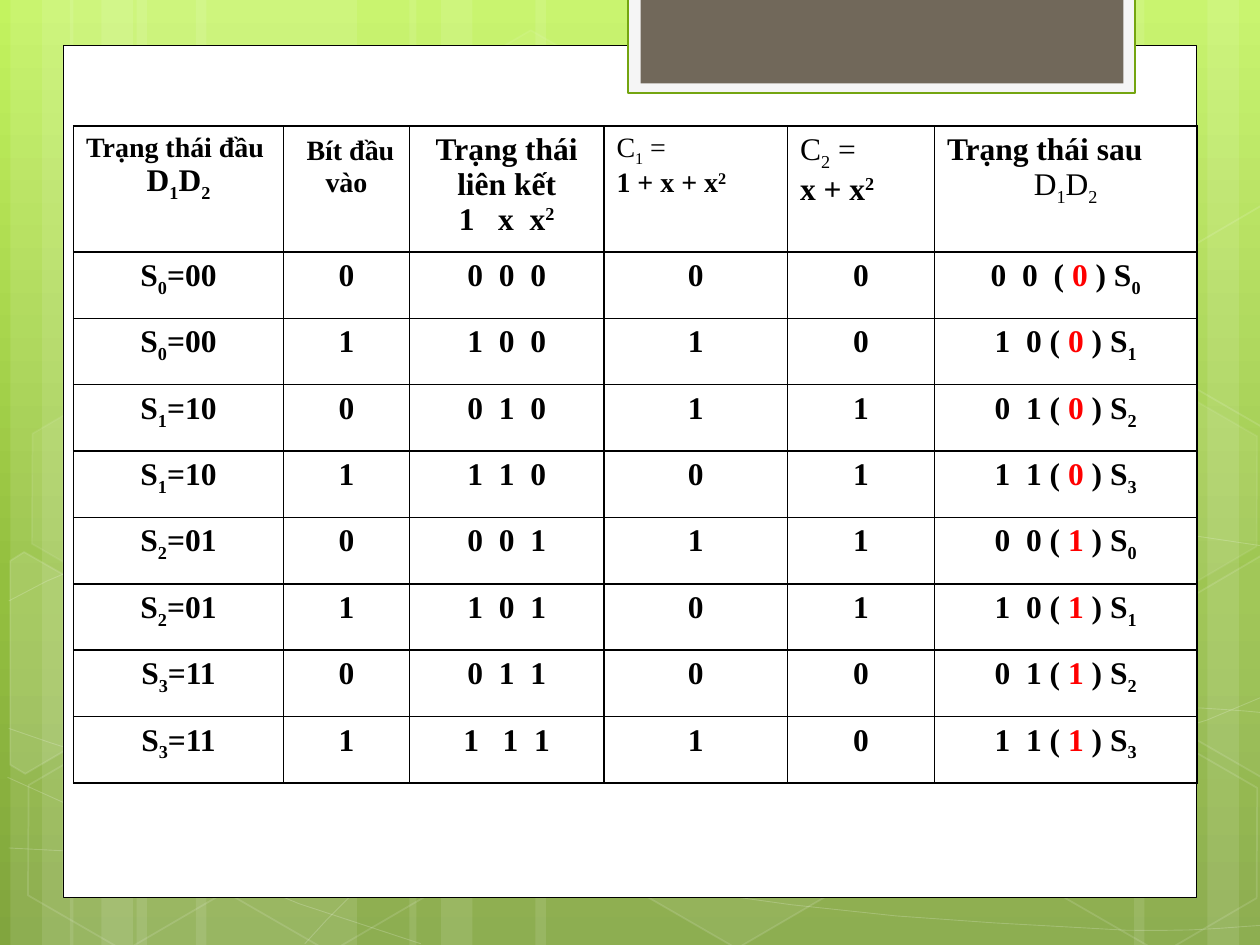
from copy import deepcopy
from math import cos, radians, sin
from typing import NamedTuple, Optional

from lxml import etree
from pptx import Presentation
from pptx.dml.color import RGBColor
from pptx.enum import shapes, text
from pptx.oxml.ns import qn
from pptx.util import Pt

WHITE = RGBColor(0xFF, 0xFF, 0xFF)
BLACK = RGBColor(0, 0, 0)
RED = RGBColor(0xFF, 0, 0)
PALE = RGBColor(0xF5, 0xF5, 0xF5)
GREEN = RGBColor(0x74, 0xA5, 0x10)
TAUPE = RGBColor(0x71, 0x68, 0x5A)
BACKDROP = [(0, RGBColor(0xC3, 0xF3, 0x5F)), (0.62, RGBColor(0x93, 0xBF, 0x3F)),
            (1, RGBColor(0x81, 0xA5, 0x3E))]
FONT = "Times New Roman"
LEFT, CENTER = text.PP_ALIGN.LEFT, text.PP_ALIGN.CENTER
TILT = 30
Point = tuple[float, float]


class Paint(NamedTuple):
    color: RGBColor
    opacity: int = 100
    width: float = 1


class Hexagon(NamedTuple):
    left: float
    top: float
    fill: Optional[int]
    outline: int


class CutHexagon(NamedTuple):
    center: Point
    corners: list[Point]
    fill: Optional[int]


class Run(NamedTuple):
    text: str
    size: float = 18
    bold: bool = True
    baseline: int = 0
    color: RGBColor = BLACK


class Line(NamedTuple):
    runs: list[Run]
    align: text.PP_ALIGN = CENTER


STRIPES = [(78, 126), (6, 36), (24, 60), (112, 126), (40, 36), (58, 60),
           (528, 126), (690, 36), (648, 60), (306, 222), (234, 36), (252, 60)]
# Each wave is a start point followed by cubic segments of three points.
WAVES = [
    [(5, 484.6), (43.9, 486.7), (82.8, 488.9), (136.8, 488.2), (190.8, 487.4), (257.8, 486),
     (329.8, 478.8), (401.8, 471.6), (504, 457.9), (570.2, 444.2), (635.8, 430.6),
     (703.4, 409), (725, 396.7)],
    [(5, 343.4), (25.9, 331.9), (46.8, 321.1), (87.1, 310.3), (128.2, 299.5), (186.5, 283.7),
     (249.8, 278.6), (313.9, 273.6), (391.7, 272.9), (470.9, 278.6), (550.1, 284.4),
     (681.8, 306.7), (725, 312.5)],
    [(4.3, 444.2), (91.4, 483.8), (177.8, 523.4), (240.5, 539.3)],
    [(5, 416.2), (27.4, 424.1), (50.4, 432), (92.2, 443.5), (133.9, 454.3), (196.6, 472.3),
     (257, 484.6), (316.8, 496.8), (392.4, 509.8), (452.2, 517), (511.9, 524.9), (576, 527.8),
     (614.2, 529.9), (651.6, 532.8), (661.7, 531.4), (680.4, 531.4), (699.1, 530.6),
     (712.1, 529.2), (725, 528.5)],
    [(174.2, 539.3), (187.2, 524.9), (200.2, 510.5), (217.4, 497.5), (234.7, 484.6),
     (259.2, 470.2), (279.4, 460.1), (299.5, 450), (311.8, 445.7), (338.4, 438.5),
     (364.3, 431.3), (412.6, 421.2), (437.8, 416.2), (463.7, 411.1), (467.3, 411.1),
     (489.6, 409.7), (511.9, 407.5), (547.2, 405.4), (571.7, 404.6), (596.9, 403.9),
     (686.2, 404.6), (686.2, 404.6), (699.1, 405.4), (711.4, 406.1), (724.3, 407.5)],
]
HEXAGONS = [Hexagon(240.5, 25.9, 4, 8), Hexagon(357.8, 424.1, 6, 12),
            Hexagon(7.9, 425.5, None, 12), Hexagon(10.1, 224.6, 7, 8),
            Hexagon(125.3, 426.2, None, 12), Hexagon(542.2, 326.2, 10, 12),
            Hexagon(600.5, 427, None, 12), Hexagon(600.5, 226.1, 7, 8)]
CUT_HEXAGONS = [
    CutHexagon((25.9, 385.2), [(5.8, 320.4), (13.7, 315.4), (69.1, 347), (68.4, 410.4),
                               (14.4, 442.1), (5.8, 437)], 10),
    CutHexagon((709.2, 374.4), [(666.7, 349.2), (720.7, 317.5), (726.5, 321.1),
                                (726.5, 441.4), (721.4, 444.2), (666.7, 412.6)], 4),
    CutHexagon((709.2, 173.5), [(666.7, 149), (720.7, 117.4), (727.2, 121),
                                (726.5, 241.2), (721.4, 244.1), (666.7, 212.4)], None),
]
COLUMN_WIDTHS = [120, 72, 111.1, 104.9, 84, 150]
HEADER_HEIGHT, ROW_HEIGHT = 72, 37.93


def sub(label: str, size: float = 18, bold: bool = True) -> Run:
    return Run(label, size, bold, -25)


def square(size: float = 18) -> Run:
    return Run("2", size, baseline=30)


def register(bold: bool) -> list[Run]:
    return [Run("D", bold=bold), sub("1", bold=bold), Run("D", bold=bold), sub("2", bold=bold)]


HEADER = [
    [Line([Run("Trạng thái đầu", 16)], LEFT), Line(register(True))],
    [Line([Run(" "), Run("Bít đầu vào", 16)])],
    [Line([Run("Trạng thái liên kết")]), Line([Run("1   x  x"), square()])],
    [Line([Run("C", 16, False), sub("1", 16, False), Run(" =", 16, False)], LEFT),
     Line([Run("1 + x + x", 16), square(16)], LEFT)],
    [Line([Run("C", bold=False), sub("2", bold=False), Run(" =", bold=False)], LEFT),
     Line([Run("x + x"), square()], LEFT)],
    [Line([Run("Trạng thái sau")], LEFT), Line(register(False))],
]


def transition(state: int, bit: int) -> list[list[Line]]:
    """Cells for one step of the encoder, where state = D1 + 2·D2."""
    d1, d2 = state % 2, state // 2
    first_gap = "   " if (state, bit) == (3, 1) else "  "
    last_gap = "  " if (state, bit) == (0, 0) else " "
    cells = [
        [Run("S"), sub(str(state)), Run(f"={d1}{d2}")],
        [Run(str(bit))],
        [Run(f"{bit}{first_gap}{d1}  {d2}")],
        [Run(str(bit ^ d1 ^ d2))],
        [Run(str(d1 ^ d2))],
        [Run(f"{bit}  {d1}{last_gap}( "), Run(str(d2), color=RED), Run(" ) S"),
         sub(str(bit + 2 * d1))],
    ]
    return [[Line(runs)] for runs in cells]


def apply_paint(shape, fill: Optional[Paint], outline: Optional[Paint]) -> None:
    shape.shadow.inherit = False
    for paint, target, xpath in ((fill, shape.fill, "a:solidFill"),
                                 (outline, shape.line.fill, "a:ln/a:solidFill")):
        if paint is None:
            target.background()
            continue
        target.solid()
        target.fore_color.rgb = paint.color
        if paint.opacity < 100:
            color = shape._element.spPr.xpath(f"{xpath}/a:srgbClr")[0]
            etree.SubElement(color, qn("a:alpha")).set("val", str(paint.opacity * 1000))
    if outline:
        shape.line.width = Pt(outline.width)


def add_preset(slide, kind, left: float, top: float, width: float, height: float,
               fill: Optional[Paint], outline: Optional[Paint] = None):
    shape = slide.shapes.add_shape(kind, Pt(left), Pt(top), Pt(width), Pt(height))
    apply_paint(shape, fill, outline)
    return shape


def add_outline(slide, points: list[Point], close: bool, fill: Optional[Paint],
                outline: Paint):
    start, *rest = [(Pt(x), Pt(y)) for x, y in points]
    builder = slide.shapes.build_freeform(*start)
    builder.add_line_segments(rest, close=close)
    shape = builder.convert_to_shape()
    apply_paint(shape, fill, outline)
    return shape


def trace_curve(controls: list[Point], steps: int = 3) -> list[Point]:
    """Points along a chain of cubic Bézier segments."""
    points = [controls[0]]
    for i in range(0, len(controls) - 1, 3):
        for t in (step / steps for step in range(1, steps + 1)):
            weights = ((1 - t) ** 3, 3 * t * (1 - t) ** 2, 3 * t * t * (1 - t), t ** 3)
            points.append(tuple(sum(w * p[axis] for w, p in zip(weights, controls[i:i + 4]))
                                for axis in (0, 1)))
    return points


def untilt(point: Point, center: Point) -> Point:
    """Where a point lies before its shape is turned by TILT about the center."""
    dx, dy = point[0] - center[0], point[1] - center[1]
    c, s = cos(radians(TILT)), sin(radians(TILT))
    return center[0] + dx * c + dy * s, center[1] - dx * s + dy * c


def paint_backdrop(slide) -> None:
    fill = slide.background.fill
    fill.gradient()
    fill.gradient_angle = 270
    stops = slide._element.find(".//" + qn("a:gsLst"))
    stops.insert(1, deepcopy(stops[0]))
    for stop, (position, color) in zip(fill.gradient_stops, BACKDROP):
        stop.position = position
        stop.color.rgb = color


def draw_decoration(slide) -> None:
    for left, width in STRIPES:
        add_preset(slide, shapes.MSO_SHAPE.RECTANGLE, left, 0, width, 540, Paint(WHITE, 10))
    for wave in WAVES:
        add_outline(slide, trace_curve(wave), False, None, Paint(WHITE, 20, 0.5))
    for left, top, fill, outline in HEXAGONS:
        hexagon = add_preset(slide, shapes.MSO_SHAPE.HEXAGON, left, top, 126, 109.4,
                             Paint(WHITE, fill) if fill else None, Paint(WHITE, outline))
        hexagon.adjustments[0] = 0.285
        hexagon.rotation = TILT
    for center, corners, fill in CUT_HEXAGONS:
        cut = add_outline(slide, [untilt(corner, center) for corner in corners], True,
                          Paint(WHITE, fill) if fill else None, Paint(WHITE, 12))
        cut.rotation = TILT


def fill_cell(cell, lines: list[Line]) -> None:
    properties = cell._tc.get_or_add_tcPr()
    for side in ("lnL", "lnR", "lnT", "lnB"):
        border = etree.SubElement(properties, qn(f"a:{side}"), w=str(Pt(1)))
        solid = etree.SubElement(border, qn("a:solidFill"))
        etree.SubElement(solid, qn("a:srgbClr"), val=str(BLACK))
    cell.fill.background()
    frame = cell.text_frame
    for i, line in enumerate(lines):
        paragraph = frame.add_paragraph() if i else frame.paragraphs[0]
        paragraph.alignment = line.align
        for part in line.runs:
            run = paragraph.add_run()
            run.text = part.text
            run.font.name, run.font.size, run.font.bold = FONT, Pt(part.size), part.bold
            run.font.color.rgb = part.color
            if part.baseline:
                run._r.get_or_add_rPr().set("baseline", str(part.baseline * 1000))


def draw_state_table(slide) -> None:
    rows = [HEADER] + [transition(state, bit) for state in range(4) for bit in (0, 1)]
    heights = [HEADER_HEIGHT] + [ROW_HEIGHT] * (len(rows) - 1)
    table = slide.shapes.add_table(len(rows), len(COLUMN_WIDTHS), Pt(42), Pt(72),
                                   Pt(sum(COLUMN_WIDTHS)), Pt(sum(heights))).table
    table.first_row = table.horz_banding = False
    for column, width in zip(table.columns, COLUMN_WIDTHS):
        column.width = Pt(width)
    for row, height, contents in zip(table.rows, heights, rows):
        row.height = Pt(height)
        for cell, lines in zip(row.cells, contents):
            fill_cell(cell, lines)


def main() -> None:
    deck = Presentation()
    deck.slide_width, deck.slide_height = Pt(720), Pt(540)
    slide = deck.slides.add_slide(deck.slide_layouts[6])
    paint_backdrop(slide)
    draw_decoration(slide)
    rectangle = shapes.MSO_SHAPE.RECTANGLE
    add_preset(slide, rectangle, 36, 26, 648, 487, Paint(WHITE), Paint(BLACK, width=0.5))
    add_preset(slide, rectangle, 359, -1.4, 289.8, 54.7, Paint(PALE), Paint(GREEN, width=1.25))
    add_preset(slide, rectangle, 366, -1.4, 276, 49, Paint(TAUPE))
    draw_state_table(slide)
    deck.save("out.pptx")


if __name__ == "__main__":
    main()
